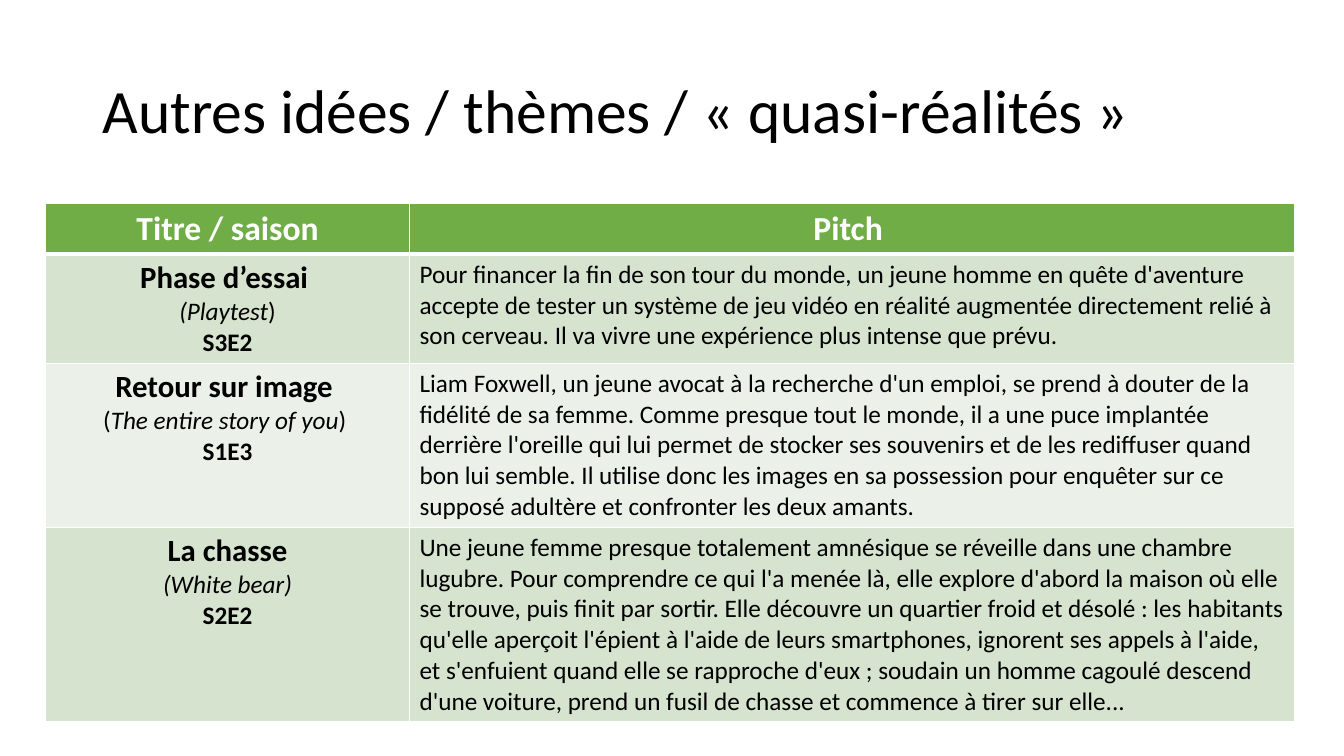
from lxml import etree
from pptx import Presentation
from pptx.dml.color import RGBColor
from pptx.enum.text import MSO_ANCHOR, PP_ALIGN
from pptx.oxml.ns import qn
from pptx.util import Cm, Pt

LEFT, CENTER = PP_ALIGN.LEFT, PP_ALIGN.CENTER
MIDDLE = MSO_ANCHOR.MIDDLE
TITLE_ONLY_LAYOUT = 5

FONT = "Calibri"
BLACK, WHITE = "000000", "FFFFFF"
HEADER_GREEN = "70AD47"
BAND_GREENS = ("D5E3CF", "EBF1E9")

COLUMN_WIDTHS = (9.17, 22.3)
ROW_HEIGHTS = (1.22, 2.75, 4.1, 4.85)
HEADERS = ("Titre / saison", "Pitch ")

# Each episode: French title, English title as (text, italic) runs, number, pitch
EPISODES = (
    ("Phase d’essai ", (("(Playtest", True), (")", False)), "S3E2",
     "Pour financer la fin de son tour du monde, un jeune homme en quête "
     "d'aventure accepte de tester un système de jeu vidéo en réalité augmentée "
     "directement relié à son cerveau. Il va vivre une expérience plus intense "
     "que prévu."),
    ("Retour sur image ",
     (("(", False), ("The entire story of you", True), (") ", False)), "S1E3",
     "Liam Foxwell, un jeune avocat à la recherche d'un emploi, se prend à "
     "douter de la fidélité de sa femme. Comme presque tout le monde, il a une "
     "puce implantée derrière l'oreille qui lui permet de stocker ses souvenirs "
     "et de les rediffuser quand bon lui semble. Il utilise donc les images en "
     "sa possession pour enquêter sur ce supposé adultère et confronter les "
     "deux amants."),
    ("La chasse", (("(White bear)", True),), "S2E2",
     "Une jeune femme presque totalement amnésique se réveille dans une chambre "
     "lugubre. Pour comprendre ce qui l'a menée là, elle explore d'abord la "
     "maison où elle se trouve, puis finit par sortir. Elle découvre un quartier "
     "froid et désolé : les habitants qu'elle aperçoit l'épient à l'aide de "
     "leurs smartphones, ignorent ses appels à l'aide, et s'enfuient quand elle "
     "se rapproche d'eux ; soudain un homme cagoulé descend d'une voiture, prend "
     "un fusil de chasse et commence à tirer sur elle..."),
)


def color(hex_string):
    return RGBColor.from_string(hex_string)


def add_text(paragraph, text, size=18, bold=False, italic=False,
             font_color=BLACK, align=LEFT):
    paragraph.alignment = align
    run = paragraph.add_run()
    run.text = text
    font = run.font
    font.name, font.size = FONT, Pt(size)
    font.bold, font.italic = bold, italic
    font.color.rgb = color(font_color)


def set_borders(cell, bottom=1, top=1):
    """White borders, widths in points; they must precede the cell's fill."""
    properties = cell._tc.get_or_add_tcPr()
    widths = {"a:lnL": 1, "a:lnR": 1, "a:lnT": top, "a:lnB": bottom}
    for position, (tag, width) in enumerate(widths.items()):
        line = etree.Element(qn(tag), w=str(Pt(width)))
        fill = etree.SubElement(line, qn("a:solidFill"))
        etree.SubElement(fill, qn("a:srgbClr"), val=WHITE)
        properties.insert(position, line)


def format_cell(cell, fill, **borders):
    cell.fill.solid()
    cell.fill.fore_color.rgb = color(fill)
    set_borders(cell, **borders)


def add_title(slide, text):
    title = slide.shapes.title
    title.left, title.top = Cm(2.33), Cm(1.01)
    title.width, title.height = Cm(29.21), Cm(3.68)
    title.text_frame.vertical_anchor = MIDDLE
    title.text_frame.word_wrap = True
    paragraph = title.text_frame.paragraphs[0]
    paragraph.line_spacing = 0.9
    add_text(paragraph, text, size=44)


def fill_episode_cell(cell, name, english_runs, number):
    frame = cell.text_frame
    add_text(frame.paragraphs[0], name, size=22, bold=True, align=CENTER)
    english_paragraph = frame.add_paragraph()
    for text, italic in english_runs:
        add_text(english_paragraph, text, italic=italic, align=CENTER)
    add_text(frame.add_paragraph(), number, bold=True, align=CENTER)


def add_episode_table(slide):
    table = slide.shapes.add_table(
        len(ROW_HEIGHTS), len(COLUMN_WIDTHS), Cm(1.15), Cm(5.12),
        Cm(sum(COLUMN_WIDTHS)), Cm(sum(ROW_HEIGHTS))).table
    for column, width in zip(table.columns, COLUMN_WIDTHS):
        column.width = Cm(width)
    for row, height in zip(table.rows, ROW_HEIGHTS):
        row.height = Cm(height)

    # Header row
    for cell, text in zip(table.rows[0].cells, HEADERS):
        format_cell(cell, HEADER_GREEN, bottom=3)
        add_text(cell.text_frame.paragraphs[0], text, size=24, bold=True,
                 font_color=WHITE, align=CENTER)

    # One banded row per episode
    for index, (name, english_runs, number, pitch) in enumerate(EPISODES):
        episode_cell, pitch_cell = table.rows[index + 1].cells
        for cell in (episode_cell, pitch_cell):
            format_cell(cell, BAND_GREENS[index % 2], top=1 if index else 3)
        fill_episode_cell(episode_cell, name, english_runs, number)
        add_text(pitch_cell.text_frame.paragraphs[0], pitch)


def main():
    presentation = Presentation()
    presentation.slide_width, presentation.slide_height = Cm(33.87), Cm(19.05)
    layout = presentation.slide_layouts[TITLE_ONLY_LAYOUT]
    slide = presentation.slides.add_slide(layout)
    add_title(slide, "Autres idées / thèmes / « quasi-réalités »")
    add_episode_table(slide)
    presentation.save("out.pptx")


if __name__ == "__main__":
    main()
